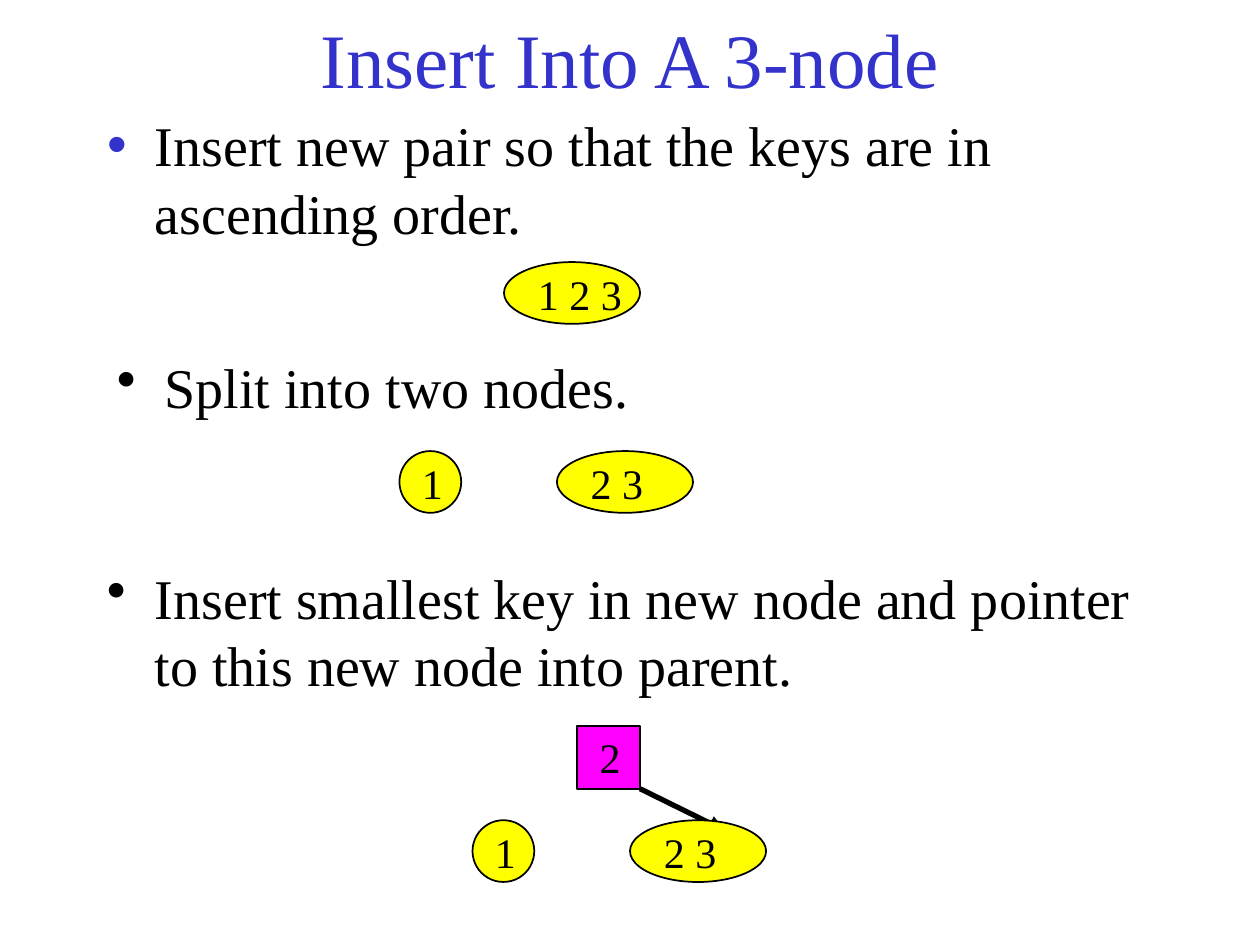
from lxml.etree import SubElement
from pptx import Presentation
from pptx.dml.color import RGBColor
from pptx.enum.shapes import MSO_CONNECTOR as Link, MSO_SHAPE as Kind
from pptx.enum.text import MSO_ANCHOR as Anchor, MSO_AUTO_SIZE as Fit, PP_ALIGN as Align
from pptx.oxml.ns import qn
from pptx.util import Inches, Pt

BLACK, BLUE, YELLOW, PINK = "000000", "3333CC", "FFFF00", "FF00FF"


def color(code):
    """Turn a hex string into a colour."""
    return RGBColor.from_string(code)


class Deck:
    """Hold the style and the current slide."""

    face = "Times New Roman"

    def __init__(self, show):
        """Start a slide with a title and a body."""
        self.slide = show.slides.add_slide(show.slide_layouts[1])
        self.shapes = self.slide.shapes

    def place(self, shape, *spot):
        """Move a shape to left, top, width and height."""
        shape.left, shape.top, shape.width, shape.height = map(Inches, spot)

    def label(self, shape, text, size, tint=BLACK, dot=None):
        """Fill a shape with one paragraph, with a bullet if dot is a colour."""
        frame = shape.text_frame
        frame.word_wrap = True
        frame.auto_size = Fit.NONE
        frame.text = text
        para = frame.paragraphs[0]
        para.space_before = Pt(0)
        if dot:
            props = para._p.get_or_add_pPr()
            props.set("marL", str(Inches(0.38)))
            props.set("indent", str(-Inches(0.38)))
            SubElement(SubElement(props, qn("a:buClr")), qn("a:srgbClr"), val=dot)
            SubElement(props, qn("a:buChar"), char="•")
        font = para.font
        font.name, font.size = self.face, Pt(size)
        font.color.rgb = color(tint)
        return para

    def title(self, text):
        """Set the slide title."""
        shape = self.shapes.title
        self.place(shape, 0.75, 0, 8.5, 0.92)
        self.label(shape, text, 44, BLUE).alignment = Align.CENTER
        shape.text_frame.vertical_anchor = Anchor.MIDDLE

    def body(self, text):
        """Set the first step in the body placeholder."""
        shape = self.slide.placeholders[1]
        self.place(shape, 0.75, 0.83, 8.5, 1.25)
        self.label(shape, text, 32, dot=BLUE)

    def step(self, text, left, top):
        """Add a later step with a black bullet."""
        box = self.shapes.add_textbox(*map(Inches, (left, top, 8.5, 0.75)))
        self.label(box, text, 32, dot=BLACK)

    def node(self, keys, left, top, wide, high=0.49, kind=Kind.OVAL, fill=YELLOW, shift=0.17):
        """Add a tree node and its keys."""
        shape = self.shapes.add_shape(kind, *map(Inches, (left, top, wide, high)))
        shape.shadow.inherit = False
        shape.fill.solid()
        shape.fill.fore_color.rgb = color(fill)
        shape.line.color.rgb = color(BLACK)
        shape.line.width = Pt(1)
        box = self.shapes.add_textbox(*map(Inches, (left + shift, top, wide + 0.09, 0.5)))
        self.label(box, keys, 24)

    def split(self, left, top):
        """Add the two nodes that result from a split."""
        self.node("2 3", left + 1.25, top, 1.08)
        self.node("1", left, top, 0.49, shift=0.08)

    def arrow(self, *ends):
        """Add a pointer between two points."""
        link = self.shapes.add_connector(Link.STRAIGHT, *map(Inches, ends))
        link.line.color.rgb = color(BLACK)
        link.line.width = Pt(3)
        props = link._element.spPr
        SubElement(props.find(qn("a:ln")), qn("a:tailEnd"), type="triangle")
        SubElement(props, qn("a:effectLst"))


def main():
    """Build the slide and save it."""
    show = Presentation()
    show.slide_width, show.slide_height = Inches(10), Inches(7.5)
    deck = Deck(show)
    deck.title("Insert Into A 3-node")
    deck.body("Insert new pair so that the keys are in ascending order.")
    deck.step("Split into two nodes.", 0.83, 2.75)
    deck.split(3.17, 3.58)
    deck.node("1 2 3", 4, 2.08, 1.08)
    deck.step("Insert smallest key in new node and pointer to this new node into parent.", 0.75, 4.42)
    deck.node("2", 4.58, 5.76, 0.5, 0.5, Kind.RECTANGLE, PINK, 0.08)
    deck.arrow(5.08, 6.26, 5.75, 6.59)
    deck.split(3.75, 6.51)
    show.save("out.pptx")


if __name__ == "__main__":
    main()
